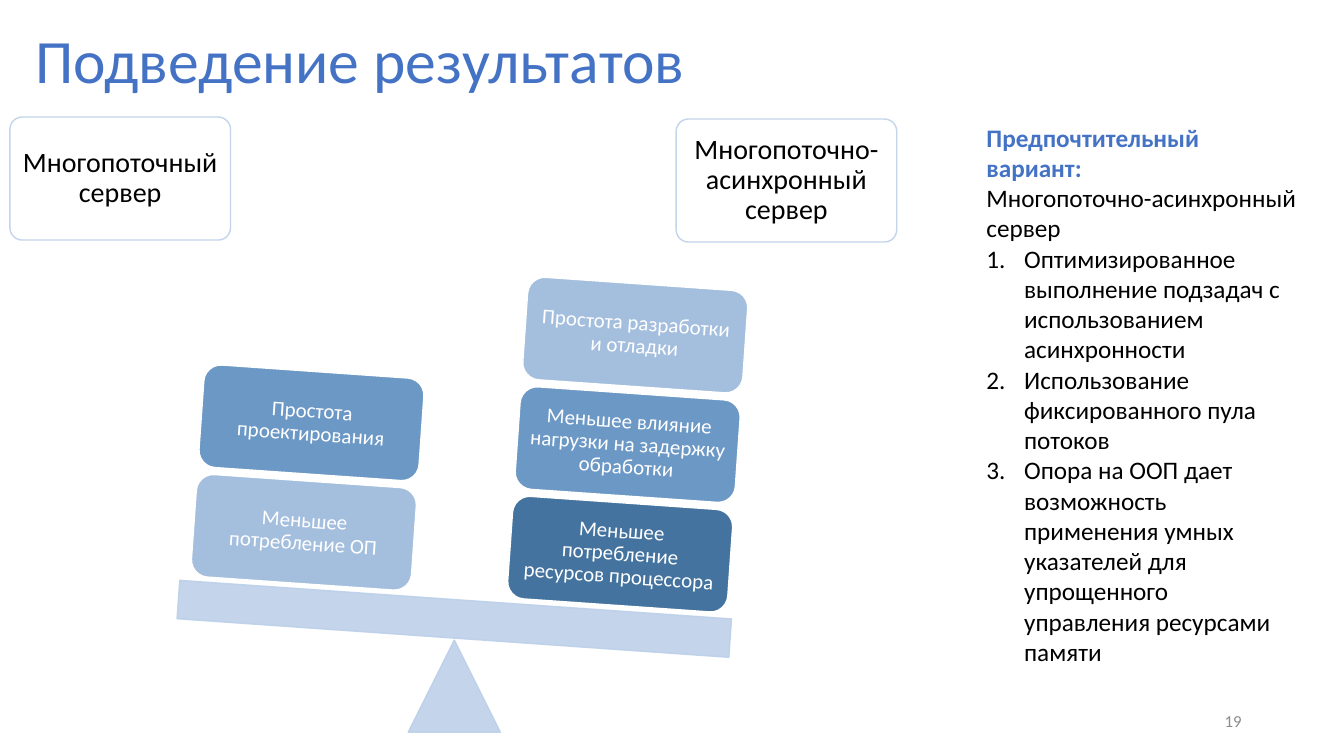
from dataclasses import dataclass

from lxml import etree
from pptx import Presentation
from pptx.dml.color import RGBColor
from pptx.enum.shapes import MSO_SHAPE
from pptx.enum.text import MSO_ANCHOR, MSO_AUTO_SIZE, PP_ALIGN
from pptx.oxml.ns import qn
from pptx.util import Cm, Pt

ROUND, RECT, TRIANGLE = MSO_SHAPE.ROUNDED_RECTANGLE, MSO_SHAPE.RECTANGLE, MSO_SHAPE.ISOSCELES_TRIANGLE
LEFT, CENTER, RIGHT = PP_ALIGN.LEFT, PP_ALIGN.CENTER, PP_ALIGN.RIGHT
TOP, MIDDLE = MSO_ANCHOR.TOP, MSO_ANCHOR.MIDDLE
TITLE_ONLY = 5


@dataclass(frozen=True)
class Theme:
    font: str = "Calibri"
    accent: str = "4472C4"
    black: str = "000000"
    white: str = "FFFFFF"
    grey: str = "8C8C8C"
    pale: str = "BDD0E9"
    light: str = "A4BEDE"
    medium: str = "6C98C5"
    dark: str = "43739E"
    title_size: int = 44
    server_size: int = 20
    verdict_size: int = 18
    block_size: int = 15
    number_size: int = 12


@dataclass(frozen=True)
class Box:
    left: float
    top: float
    width: float
    height: float

    def lengths(self):
        return Cm(self.left), Cm(self.top), Cm(self.width), Cm(self.height)


@dataclass(frozen=True)
class Block:
    text: str
    color: str


@dataclass(frozen=True)
class Stack:
    server: str
    server_left: float
    server_top: float
    left: float
    top: float
    blocks: tuple[Block, ...]


T = Theme()
TILT = 4
OPACITY = 90
BLOCK_WIDTH, BLOCK_HEIGHT = 5.56, 2.59
STEP_X, STEP_Y = 0.19, -2.76
SERVER_WIDTH, SERVER_HEIGHT = 5.56, 3.1
LIST_INDENT = 0.95

STACKS = (
    Stack("Многопоточный сервер", 0.25, 2.95, 4.88, 12.12, (
        Block("Меньшее потребление ОП", T.light),
        Block("Простота проектирования", T.medium),
    )),
    Stack("Многопоточно-асинхронный сервер", 17.04, 3, 12.85, 12.67, (
        Block("Меньшее потребление ресурсов процессора", T.dark),
        Block("Меньшее влияние нагрузки на задержку обработки", T.medium),
        Block("Простота разработки и отладки", T.light),
    )),
)
REASONS = (
    "Оптимизированное выполнение подзадач с использованием асинхронности",
    "Использование фиксированного пула потоков",
    "Опора на ООП дает возможность применения умных указателей для упрощенного управления ресурсами памяти",
)


def write(p, text: str, *, size: int, color: str, bold: bool = False,
          align=LEFT, spacing: float = 1.0) -> None:
    p.alignment = align
    p.line_spacing = spacing
    r = p.add_run()
    r.text = text
    r.font.name = T.font
    r.font.size = Pt(size)
    r.font.bold = bold
    r.font.color.rgb = RGBColor.from_string(color)


def number(p) -> None:
    pPr = p._p.get_or_add_pPr()
    pPr.set("marL", str(Cm(LIST_INDENT)))
    pPr.set("indent", str(-Cm(LIST_INDENT)))
    etree.SubElement(pPr, qn("a:buFont"), typeface="+mj-lt")
    etree.SubElement(pPr, qn("a:buAutoNum"), type="arabicPeriod")


def set_opacity(sp, percent: int) -> None:
    for color in sp._element.spPr.iter(qn("a:srgbClr")):
        etree.SubElement(color, qn("a:alpha"), val=str(percent * 1000))


def add_figure(s, kind, box: Box, *, fill: str, line: str, rotation: float = 0,
               opacity: int = 100):
    sp = s.shapes.add_shape(kind, *box.lengths())
    sp.shadow.inherit = False
    sp.rotation = rotation
    sp.fill.solid()
    sp.fill.fore_color.rgb = RGBColor.from_string(fill)
    sp.line.color.rgb = RGBColor.from_string(line)
    sp.line.width = Pt(1)
    if opacity < 100:
        set_opacity(sp, opacity)
    return sp


def add_label(sp, text: str, *, size: int, color: str, inset: float) -> None:
    tf = sp.text_frame
    tf.word_wrap = True
    tf.vertical_anchor = MIDDLE
    tf.margin_left = tf.margin_right = tf.margin_top = tf.margin_bottom = Cm(inset)
    write(tf.paragraphs[0], text, size=size, color=color, align=CENTER, spacing=0.9)


def add_text_box(s, box: Box, anchor=TOP):
    tf = s.shapes.add_textbox(*box.lengths()).text_frame
    tf.word_wrap = True
    tf.vertical_anchor = anchor
    return tf


def add_title(s, text: str) -> None:
    sp = s.shapes.title
    sp.left, sp.top, sp.width, sp.height = Box(0.64, 0.23, 28.9, 2.74).lengths()
    tf = sp.text_frame
    tf.vertical_anchor = MIDDLE
    write(tf.paragraphs[0], text, size=T.title_size, color=T.accent, spacing=0.9)


def add_stack(s, stack: Stack) -> None:
    server_box = Box(stack.server_left, stack.server_top, SERVER_WIDTH, SERVER_HEIGHT)
    server = add_figure(s, ROUND, server_box, fill=T.white, line=T.pale, opacity=OPACITY)
    server.adjustments[0] = 0.1
    add_label(server, stack.server, size=T.server_size, color=T.black, inset=0.2)
    for i, block in enumerate(stack.blocks):
        box = Box(stack.left + i * STEP_X, stack.top + i * STEP_Y, BLOCK_WIDTH, BLOCK_HEIGHT)
        sp = add_figure(s, ROUND, box, fill=block.color, line=T.white, rotation=TILT)
        add_label(sp, block.text, size=T.block_size, color=T.white, inset=0.15)


def add_verdict(s) -> None:
    tf = add_text_box(s, Box(24.61, 2.95, 8.36, 14.1))
    tf.auto_size = MSO_AUTO_SIZE.SHAPE_TO_FIT_TEXT
    write(tf.paragraphs[0], "Предпочтительный вариант:", size=T.verdict_size,
          color=T.accent, bold=True)
    write(tf.add_paragraph(), "Многопоточно-асинхронный сервер", size=T.verdict_size,
          color=T.black)
    for reason in REASONS:
        p = tf.add_paragraph()
        write(p, reason, size=T.verdict_size, color=T.black)
        number(p)


def main() -> None:
    prs = Presentation()
    prs.slide_width, prs.slide_height = Cm(33.87), Cm(19.05)
    s = prs.slides.add_slide(prs.slide_layouts[TITLE_ONLY])
    add_title(s, "Подведение результатов")
    add_figure(s, TRIANGLE, Box(10.29, 16.13, 2.32, 2.32), fill=T.pale, line=T.pale,
               opacity=OPACITY)
    add_figure(s, RECT, Box(4.48, 15.11, 13.94, 0.97), fill=T.pale, line=T.pale,
               rotation=TILT, opacity=OPACITY)
    for stack in STACKS:
        add_stack(s, stack)
    add_verdict(s)
    tf = add_text_box(s, Box(23.92, 17.66, 7.62, 1.01), MIDDLE)
    write(tf.paragraphs[0], "19", size=T.number_size, color=T.grey, align=RIGHT)
    prs.save("out.pptx")


if __name__ == "__main__":
    main()
